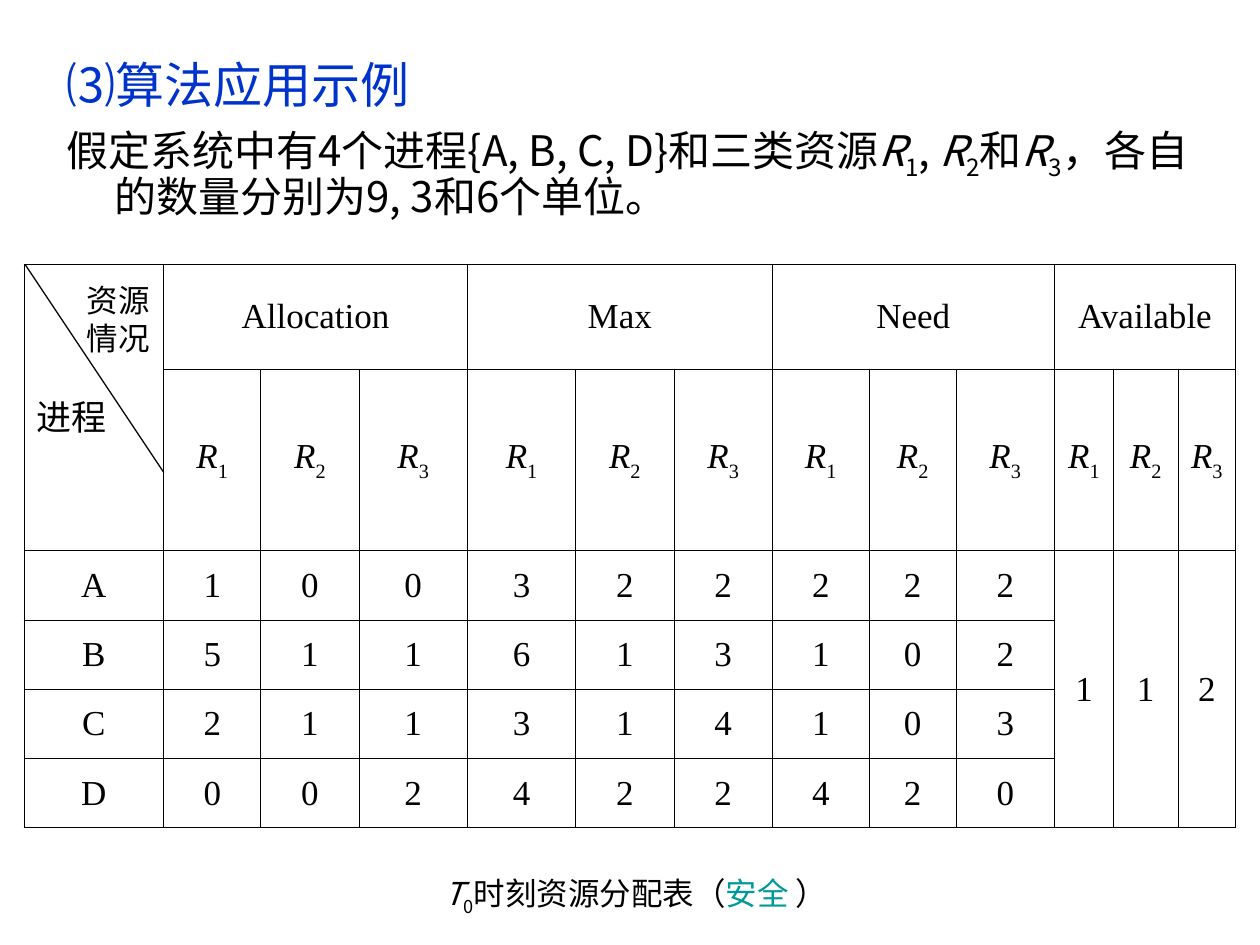
from dataclasses import dataclass

from lxml import etree
from pptx import Presentation
from pptx.dml.color import RGBColor
from pptx.enum.shapes import MSO_CONNECTOR
from pptx.enum.text import MSO_ANCHOR, PP_ALIGN
from pptx.oxml.ns import qn
from pptx.util import Inches, Pt

STRAIGHT = MSO_CONNECTOR.STRAIGHT
MIDDLE, TOP = MSO_ANCHOR.MIDDLE, MSO_ANCHOR.TOP
CENTER, LEFT = PP_ALIGN.CENTER, PP_ALIGN.LEFT


@dataclass(frozen=True)
class Theme:
    ink: str = "000000"
    heading: str = "0033CC"
    safe: str = "009999"
    cjk: str = "Noto Sans CJK SC"
    sans: str = "Arial"
    label: str = "Cabin"
    serif: str = "Times New Roman"
    heading_size: int = 28
    body_size: int = 24
    table_size: int = 20
    small_size: int = 18
    border: float = 0.45
    diagonal: float = 0.75


THEME = Theme()
COLUMNS = [1.11, 0.77, 0.78, 0.86, 0.86, 0.78, 0.78, 0.77, 0.69, 0.78, 0.47, 0.51, 0.46]
ROWS = [0.83, 1.44] + [0.55] * 4
GROUPS = ["Allocation", "Max", "Need", "Available"]
PROCESSES = {
    "A": [1, 0, 0, 3, 2, 2, 2, 2, 2],
    "B": [5, 1, 1, 6, 1, 3, 1, 0, 2],
    "C": [2, 1, 1, 3, 1, 4, 1, 0, 3],
    "D": [0, 0, 2, 4, 2, 2, 4, 2, 0],
}
AVAILABLE = [1, 1, 2]


def add_run(paragraph, text, size, font, color=THEME.ink, italic=False, baseline=0):
    run = paragraph.add_run()
    run.text = text
    run.font.size = Pt(size)
    run.font.name = font
    run.font.italic = italic
    run.font.color.rgb = RGBColor.from_string(color)
    properties = run.font._element
    etree.SubElement(properties, qn("a:ea")).set("typeface", THEME.cjk)
    if baseline:
        properties.set("baseline", str(baseline * 1000))


def add_symbol(paragraph, letter, index, size, font, drop):
    add_run(paragraph, letter, size, font, italic=True)
    add_run(paragraph, str(index), size, font, baseline=drop)


def add_text_frame(slide, left, top, width, height):
    frame = slide.shapes.add_textbox(left, top, width, height).text_frame
    frame.word_wrap = True
    return frame


def add_introduction(slide, left, top, width, height):
    frame = add_text_frame(slide, left, top, width, height)
    heading, premise = frame.paragraphs[0], frame.add_paragraph()
    for paragraph in (heading, premise):
        indent = paragraph._p.get_or_add_pPr()
        indent.set("marL", str(Inches(0.38)))
        indent.set("indent", str(Inches(-0.38)))
        paragraph.line_spacing = 0.9
    premise.space_before = Pt(6)

    add_run(heading, "⑶", THEME.heading_size, THEME.sans, THEME.heading)
    add_run(heading, "算法应用示例", THEME.heading_size, THEME.cjk, THEME.heading)

    style = (THEME.body_size, THEME.cjk)
    add_run(premise, "假定系统中有4个进程{A, B, C, D}和三类资源", *style)
    endings = [", ", "和", "，各自的数量分别为9, 3和6个单位。"]
    for index, ending in enumerate(endings, start=1):
        add_symbol(premise, "R", index, *style, -25)
        add_run(premise, ending, *style)


def frame_cell(cell):
    properties = cell._tc.get_or_add_tcPr()
    for side in ("lnL", "lnR", "lnT", "lnB"):
        border = etree.SubElement(properties, qn(f"a:{side}"), w=str(Pt(THEME.border)))
        fill = etree.SubElement(border, qn("a:solidFill"))
        etree.SubElement(fill, qn("a:srgbClr"), val=THEME.ink)
    cell.fill.background()


def cell_paragraph(cell, anchor=MIDDLE, alignment=CENTER):
    cell.vertical_anchor = anchor
    paragraph = cell.text_frame.paragraphs[0]
    paragraph.alignment = alignment
    return paragraph


def add_corner(slide, left, top, width, height):
    diagonal = slide.shapes.add_connector(
        STRAIGHT, left, top, left + width, top + height)
    diagonal.line.color.rgb = RGBColor.from_string(THEME.ink)
    diagonal.line.width = Pt(THEME.diagonal)
    etree.SubElement(diagonal._element.spPr, qn("a:effectLst"))
    frame = add_text_frame(
        slide, left + Inches(0.39), top + Inches(0.08), Inches(0.71), Inches(0.7))
    add_run(frame.paragraphs[0], "资源情况", THEME.small_size, THEME.label)


def add_allocation_table(slide, left, top, width, height):
    table = slide.shapes.add_table(
        len(ROWS), len(COLUMNS), left, top, width, height).table
    table.first_row = table.horz_banding = False
    for column, size in zip(table.columns, COLUMNS):
        column.width = Inches(size)
    for row, size in zip(table.rows, ROWS):
        row.height = Inches(size)
    for cell in table.iter_cells():
        frame_cell(cell)

    style = (THEME.table_size, THEME.serif)
    corner = table.cell(0, 0)
    corner.merge(table.cell(1, 0))
    corner.margin_top = Inches(0.99)
    add_run(cell_paragraph(corner, TOP, LEFT), "进程", *style)

    for group, name in enumerate(GROUPS):
        first = 1 + 3 * group
        header = table.cell(0, first)
        header.merge(table.cell(0, first + 2))
        add_run(cell_paragraph(header), name, *style)
        for offset in range(3):
            resource = cell_paragraph(table.cell(1, first + offset))
            add_symbol(resource, "R", offset + 1, *style, -30)

    for row, (process, amounts) in enumerate(PROCESSES.items(), start=2):
        for column, value in enumerate([process, *amounts]):
            add_run(cell_paragraph(table.cell(row, column)), str(value), *style)

    for column, amount in enumerate(AVAILABLE, start=10):
        available = table.cell(2, column)
        available.merge(table.cell(len(ROWS) - 1, column))
        add_run(cell_paragraph(available), str(amount), *style)


def add_caption(slide, left, top, width, height):
    caption = add_text_frame(slide, left, top, width, height).paragraphs[0]
    style = (THEME.small_size, THEME.cjk)
    add_symbol(caption, "T", 0, *style, -25)
    add_run(caption, "时刻资源分配表（", *style)
    add_run(caption, "安全 ", THEME.small_size, THEME.sans, THEME.safe)
    add_run(caption, "）", *style)


def main():
    presentation = Presentation()
    presentation.slide_width, presentation.slide_height = Inches(10), Inches(7.5)
    slide = presentation.slides.add_slide(presentation.slide_layouts[6])
    add_introduction(slide, Inches(0.43), Inches(0.44), Inches(9.21), Inches(1.57))
    add_allocation_table(slide, Inches(0.19), Inches(2.1), Inches(9.61), Inches(4.47))
    add_caption(slide, Inches(3.43), Inches(6.89), Inches(5.28), Inches(0.44))
    add_corner(slide, Inches(0.2), Inches(2.1), Inches(1.1), Inches(1.65))
    presentation.save("out.pptx")


if __name__ == "__main__":
    main()
